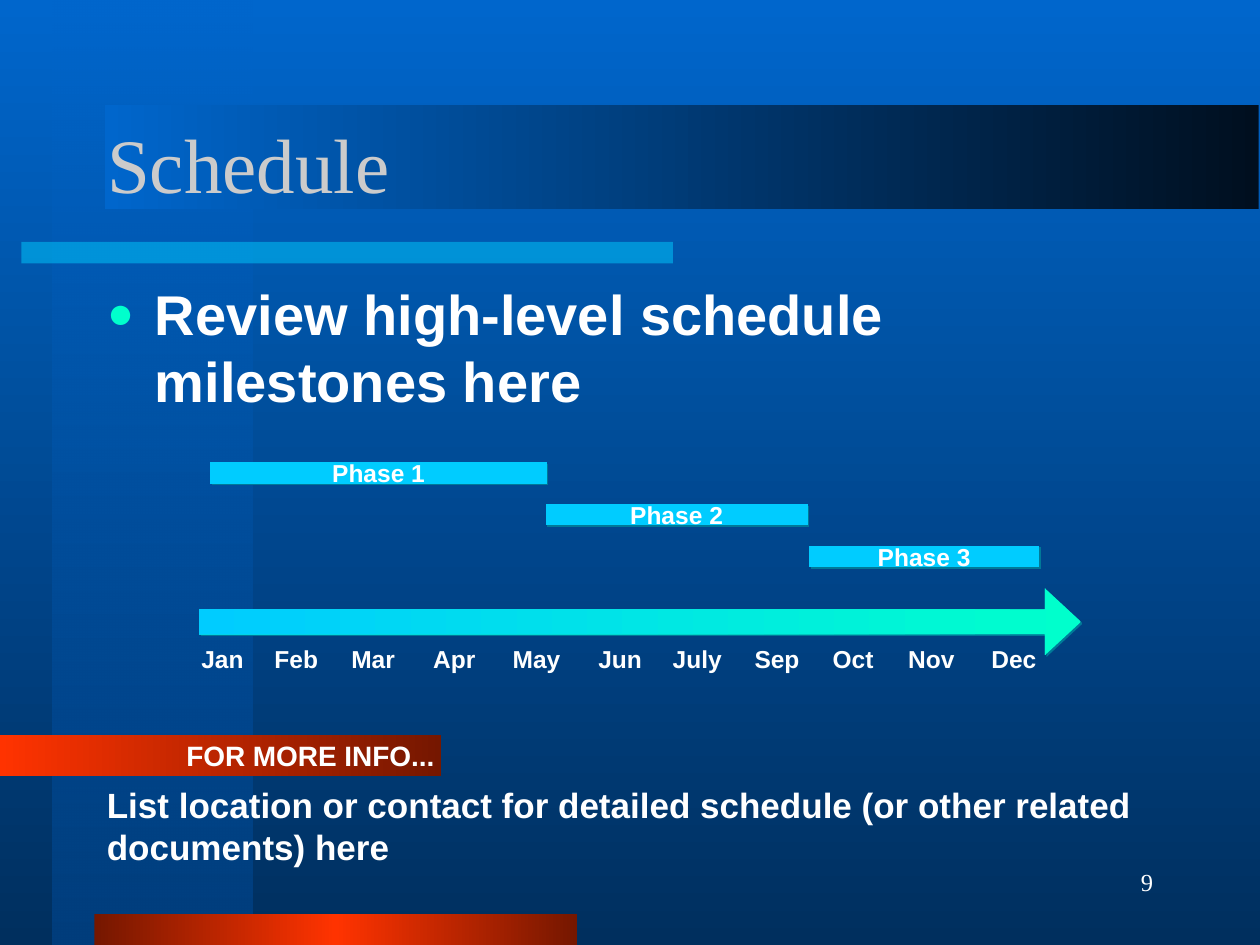
from dataclasses import dataclass
from typing import Optional

from lxml.etree import SubElement
from pptx import Presentation
from pptx.dml.color import RGBColor
from pptx.enum.shapes import MSO_SHAPE
from pptx.enum.text import MSO_ANCHOR, MSO_AUTO_SIZE, PP_ALIGN
from pptx.oxml.ns import qn
from pptx.util import Inches, Pt

COLORS = {
    "sky": "0066CC", "navy": "002F5E", "column": "003E7D", "black": "000F1F",
    "cyan": "00CCFF", "mint": "00FFCC", "shade": "007998",
    "rust": "751700", "red": "FF3300", "white": "FFFFFF", "silver": "CBCBCB",
}
ARIAL, TIMES = "Arial", "Times New Roman"


@dataclass
class Stop:
    percent: int
    color: str
    alpha: int = 100


@dataclass
class Band:
    left: float
    top: float
    width: float
    height: float
    stops: list[Stop]
    angle: int = 180


@dataclass
class Phase:
    name: str
    left: float
    width: float


@dataclass
class Month:
    name: str
    left: float
    width: float


@dataclass
class Style:
    size: int
    font: str = ARIAL
    color: str = "white"
    bold: bool = True
    align: PP_ALIGN = PP_ALIGN.LEFT
    anchor: MSO_ANCHOR = MSO_ANCHOR.TOP
    wrap: bool = True
    space_before: int = 0
    side_margin: float = 0.1


def rgb(name: str) -> RGBColor:
    return RGBColor.from_string(COLORS[name])


def box(left: float, top: float, width: float, height: float) -> list:
    return [Inches(value) for value in (left, top, width, height)]


def set_gradient(fill, owner, stops: list[Stop], angle: int) -> None:
    fill.gradient()
    fill.gradient_angle = angle
    stop_list = next(owner.iter(qn("a:gsLst")))
    for default_stop in list(stop_list):
        stop_list.remove(default_stop)
    for stop in stops:
        mark = SubElement(stop_list, qn("a:gs"), pos=str(stop.percent * 1000))
        color = SubElement(mark, qn("a:srgbClr"), val=COLORS[stop.color])
        if stop.alpha < 100:
            SubElement(color, qn("a:alpha"), val=str(stop.alpha * 1000))


def add_plain(shapes, kind: MSO_SHAPE, place: list):
    shape = shapes.add_shape(kind, *place)
    shape.shadow.inherit = False
    shape.line.fill.background()
    return shape


def add_band(shapes, band: Band):
    shape = add_plain(shapes, MSO_SHAPE.RECTANGLE,
                      box(band.left, band.top, band.width, band.height))
    set_gradient(shape.fill, shape.element, band.stops, band.angle)
    return shape


def add_shadow(shape) -> None:
    effects = shape.element.spPr.find(qn("a:effectLst"))
    shadow = SubElement(effects, qn("a:outerShdw"), dist=str(Pt(1.4)),
                        dir="2700000", algn="ctr", rotWithShape="0")
    SubElement(shadow, qn("a:srgbClr"), val=COLORS["shade"])


def write(shape, text: str, style: Style) -> None:
    frame = shape.text_frame
    frame.text = text
    paragraph = frame.paragraphs[0]
    side = Inches(style.side_margin)
    formats = [
        (frame, {"word_wrap": style.wrap, "vertical_anchor": style.anchor,
                 "auto_size": MSO_AUTO_SIZE.NONE,
                 "margin_left": side, "margin_right": side,
                 "margin_top": Inches(0.05), "margin_bottom": Inches(0.05)}),
        (paragraph, {"alignment": style.align, "space_before": Pt(style.space_before)}),
        (paragraph.runs[0].font, {"size": Pt(style.size), "name": style.font,
                                  "bold": style.bold}),
    ]
    for target, values in formats:
        for attribute, value in values.items():
            setattr(target, attribute, value)
    paragraph.runs[0].font.color.rgb = rgb(style.color)


def add_text(shapes, place: list, text: str, style: Style) -> None:
    write(shapes.add_textbox(*place), text, style)


def fill_placeholder(shape, place: list, text: str, style: Style) -> None:
    shape.left, shape.top, shape.width, shape.height = place
    write(shape, text, style)


def add_bullet(paragraph) -> None:
    props = paragraph._p.get_or_add_pPr()
    props.set("marL", str(Inches(0.38)))
    props.set("indent", str(-Inches(0.38)))
    SubElement(SubElement(props, qn("a:buClr")), qn("a:srgbClr"), val=COLORS["mint"])
    SubElement(props, qn("a:buSzPct"), val="80000")
    SubElement(props, qn("a:buFont"), typeface=ARIAL)
    SubElement(props, qn("a:buChar"), char="●")


BACKDROP = [
    Band(0.42, 0, 1.58, 7.5, [Stop(0, "sky", 50), Stop(100, "column")], 270),
    Band(0.17, 1.92, 5.17, 0.17, [Stop(0, "cyan", 50), Stop(100, "cyan", 50)]),
    Band(0.75, 7.25, 3.83, 0.25, [Stop(0, "rust"), Stop(50, "red"), Stop(100, "rust")]),
    Band(0.83, 0.83, 9.16, 0.83, [Stop(0, "black"), Stop(100, "sky")]),
]
INFO_BAND = Band(0, 5.83, 3.5, 0.33, [Stop(0, "rust"), Stop(100, "red")])
PHASES = [Phase("Phase 1", 1.67, 2.67), Phase("Phase 2", 4.33, 2.08),
          Phase("Phase 3", 6.42, 1.83)]
MONTHS = [
    Month("Jan", 1.5, 0.53), Month("Feb", 2.08, 0.54), Month("Mar", 2.69, 0.54),
    Month("Apr", 3.34, 0.53), Month("May", 3.97, 0.58), Month("Jun", 4.65, 0.54),
    Month("July", 5.24, 0.59), Month("Sep", 5.89, 0.56), Month("Oct", 6.51, 0.52),
    Month("Nov", 7.11, 0.57), Month("Dec", 7.77, 0.56),
]


def add_timeline(shapes) -> None:
    arrow = add_plain(shapes, MSO_SHAPE.RIGHT_ARROW, box(1.58, 4.67, 7, 0.53))
    arrow.adjustments[0], arrow.adjustments[1] = 0.37, 0.54
    set_gradient(arrow.fill, arrow.element, [Stop(0, "mint"), Stop(100, "cyan")], 180)
    add_shadow(arrow)

    for month in MONTHS:
        add_text(shapes, box(month.left, 5.06, month.width, 0.34), month.name,
                 Style(14, wrap=False))

    for row, phase in enumerate(PHASES):
        bar = add_plain(shapes, MSO_SHAPE.FLOWCHART_PROCESS,
                        box(phase.left, 3.67 + row * 0.33, phase.width, 0.17))
        bar.fill.solid()
        bar.fill.fore_color.rgb = rgb("cyan")
        add_shadow(bar)
        write(bar, phase.name, Style(14, align=PP_ALIGN.CENTER,
                                     anchor=MSO_ANCHOR.MIDDLE, wrap=False))


def main() -> None:
    deck = Presentation()
    deck.slide_width, deck.slide_height = Inches(10), Inches(7.5)
    slide = deck.slides.add_slide(deck.slide_layouts[1])
    title, body = slide.placeholders

    # Background and decorative bands, kept behind the placeholders
    set_gradient(slide.background.fill, slide.element,
                 [Stop(0, "sky"), Stop(100, "navy")], 270)
    for band in BACKDROP:
        add_band(slide.shapes, band)
    for placeholder in (title, body):
        slide.shapes.element.append(placeholder.element)

    # Title and bullet
    fill_placeholder(title, box(0.75, 0.67, 8.5, 1.25), "Schedule",
                     Style(44, TIMES, "silver", False, anchor=MSO_ANCHOR.MIDDLE))
    fill_placeholder(body, box(0.75, 2.17, 8.5, 4.5),
                     "Review high-level schedule milestones here",
                     Style(32, space_before=8))
    add_bullet(body.text_frame.paragraphs[0])

    # Further information
    write(add_band(slide.shapes, INFO_BAND), "FOR MORE INFO...",
          Style(16, align=PP_ALIGN.RIGHT, anchor=MSO_ANCHOR.MIDDLE,
                wrap=False, side_margin=0.05))
    add_text(slide.shapes, box(0.75, 6.17, 8.5, 1),
             "List location or contact for detailed schedule (or other related documents) here",
             Style(20, space_before=5))

    # Timeline and page number
    add_timeline(slide.shapes.add_group_shape().shapes)
    add_text(slide.shapes, box(7.17, 6.75, 2.08, 0.5), "9",
             Style(14, TIMES, bold=False, align=PP_ALIGN.RIGHT, anchor=MSO_ANCHOR.MIDDLE))
    deck.save("out.pptx")


if __name__ == "__main__":
    main()
